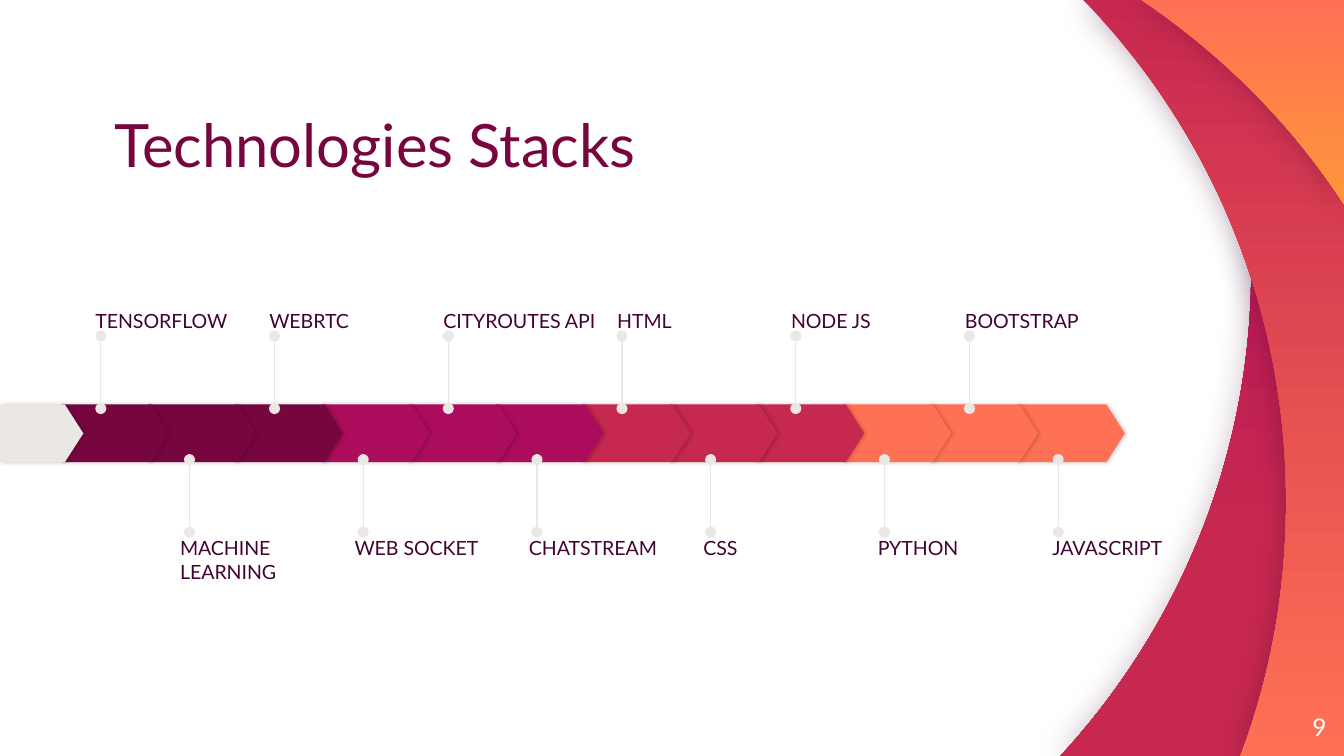
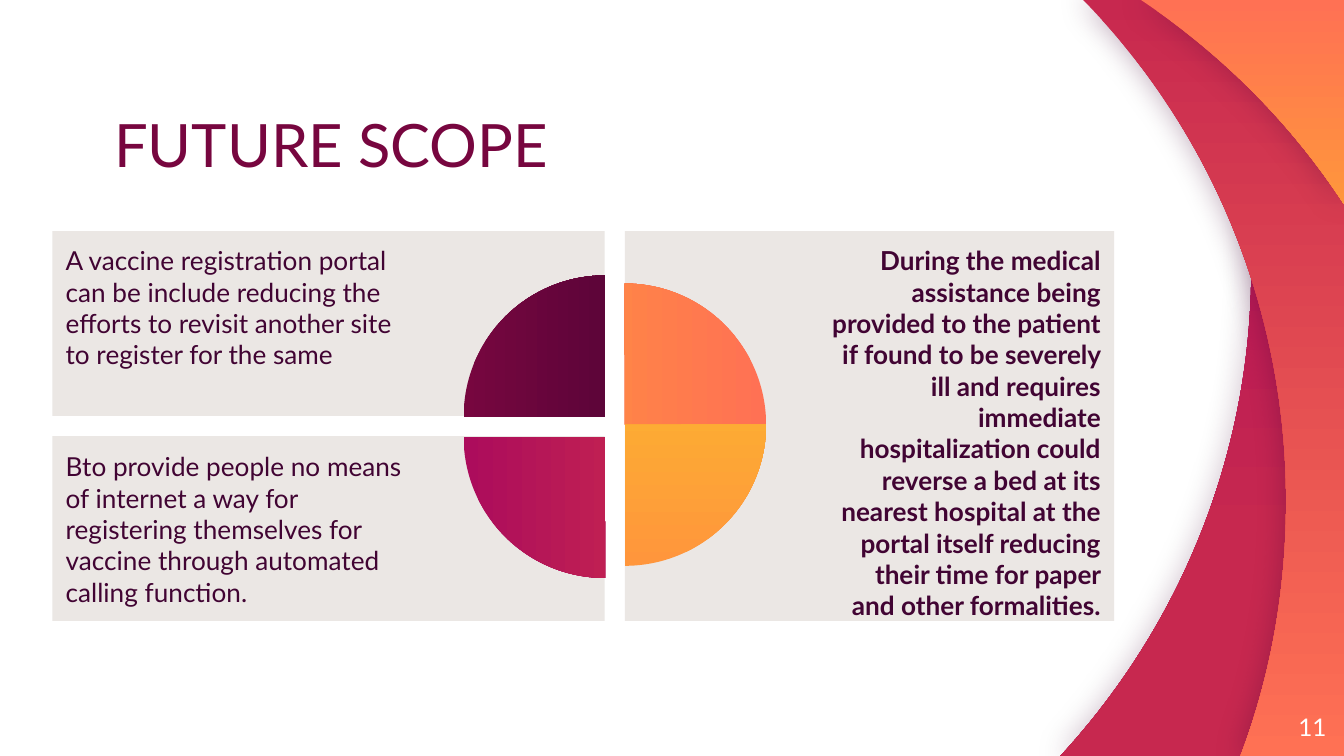
import pptx
import pptx.util
import pptx.dml.color
import pptx.enum.shapes
import pptx.enum.text
import pptx.oxml
import pptx.oxml.ns

SHAPE = pptx.enum.shapes.MSO_SHAPE
ANCHOR = pptx.enum.text.MSO_ANCHOR
ALIGN = pptx.enum.text.PP_ALIGN
Inches = pptx.util.Inches
qn = pptx.oxml.ns.qn

FONT = "Lato"
WIDTH, HEIGHT = 10, 10 * 9 / 16
PLUM, INK, MAGENTA, CRIMSON = "77063F", "410433", "AC0C5C", "C7284F"
CORAL, ORANGE, YELLOW, STONE, WHITE = "FF7154", "FF963C", "FAC12B", "EBE7E4", "FFFFFF"
BERRY_FADE = [(0, MAGENTA), (72, CRIMSON), (100, CRIMSON)]

BANDS = [
    {"start": (8.92, 0),
     "curves": [((9.18, 0.64), (9.31, 1.31), (9.31, 2)),
                ((9.31, 3.4), (8.77, 4.67), (7.89, HEIGHT))],
     "corners": [(WIDTH, HEIGHT), (WIDTH, 0)],
     "stops": BERRY_FADE, "shade": 25},
    {"start": (8.06, 0),
     "curves": [((9, 0.96), (9.57, 2.28), (9.57, 3.73)),
                ((9.57, 4.38), (9.46, 5.02), (9.23, HEIGHT))],
     "corners": [(WIDTH, HEIGHT), (WIDTH, 0)],
     "stops": [(0, CRIMSON), (100, CORAL)], "shade": 35},
    {"start": (8.49, 0),
     "curves": [((9.09, 0.4), (9.61, 0.92), (WIDTH, 1.52))],
     "corners": [(WIDTH, 0)],
     "stops": [(0, CORAL), (100, ORANGE)], "shade": 30},
]

STEP_COLOURS = [PLUM, MAGENTA, CRIMSON, CORAL]
STEPS_PER_COLOUR = 3
STEP_LEFT, STEP_TOP, STEP_PITCH = 0.46, 3.01, 7.11 / 11
STEP_WIDTH, STEP_HEIGHT = 0.8, 0.43
PIN_LENGTH = 0.54
LABEL_WIDTH, LABEL_HEIGHT, LABEL_LIMIT = 1.22, 0.58, 8.84
STACK_ROWS = [
    {"labels": ["TENSORFLOW", "WEBRTC", "CITYROUTES API", "HTML", "NODE JS", "BOOTSTRAP"],
     "pin": (0.75, 3.04), "label": (0.71, 1.89), "span": 6.47, "anchor": ANCHOR.BOTTOM},
    {"labels": ["MACHINE LEARNING", "WEB SOCKET", "CHATSTREAM", "CSS", "PYTHON", "JAVASCRIPT"],
     "pin": (1.41, 3.96), "label": (1.34, 3.99), "span": 6.49, "anchor": ANCHOR.TOP},
]

PANEL_LEFT, PANEL_TOP, PANEL_GAP = 0.39, 1.72, 0.15
LEFT_WIDTH, RIGHT_WIDTH, FULL_HEIGHT = 4.11, 3.64, 2.9
HALF_HEIGHT = (FULL_HEIGHT - PANEL_GAP) / 2
RIGHT_LEFT = PANEL_LEFT + LEFT_WIDTH + PANEL_GAP
LOWER_TOP = PANEL_TOP + HALF_HEIGHT + PANEL_GAP
WIDE_RIGHT, WIDE_LEFT = (0.1, 0.1, 1.5, 0.1), (1.5, 0.1, 0.1, 0.1)
PANELS = [
    {"box": (PANEL_LEFT, PANEL_TOP, LEFT_WIDTH, HALF_HEIGHT),
     "text": "A vaccine registration portal can be include reducing the efforts to revisit "
             "another site to register for the same",
     "style": {"insets": WIDE_RIGHT}},
    {"box": (RIGHT_LEFT, PANEL_TOP, RIGHT_WIDTH, FULL_HEIGHT),
     "text": "During the medical assistance being provided to the patient if found to be "
             "severely ill and requires immediate hospitalization could reverse a bed at its "
             "nearest hospital at the portal itself reducing their time for paper and other "
             "formalities.",
     "style": {"insets": WIDE_LEFT, "align": ALIGN.RIGHT, "bold": True}},
    {"box": (PANEL_LEFT, LOWER_TOP, LEFT_WIDTH, HALF_HEIGHT),
     "text": "Bto provide people no means of internet a way for registering themselves for "
             "vaccine through automated calling function.",
     "style": {"insets": WIDE_RIGHT, "anchor": ANCHOR.BOTTOM}},
]
PIE_SIZE = 2.1
PIE_ANGLES = (107.889, 162)
QUARTERS = [
    (3.45, 2.05, [(0, PLUM), (100, INK)], 0),
    (3.6, 2.11, [(0, CORAL), (100, ORANGE)], 90),
    (3.6, 2.11, [(0, ORANGE), (100, YELLOW)], 90),
    (3.45, 2.2, BERRY_FADE, 90),
]


def colour(value):
    return pptx.dml.color.RGBColor.from_string(value)


def xml(text):
    return pptx.oxml.parse_xml(text.replace(">", f" {pptx.oxml.ns.nsdecls('a')}>", 1))


def inches(values):
    return [Inches(value) for value in values]


def plain(shape, fill=None):
    shape.shadow.inherit = False
    shape.line.fill.background()
    if fill:
        shape.fill.solid()
        shape.fill.fore_color.rgb = colour(fill)
    return shape


def fade(shape, stops, angle):
    marks = "".join(f'<a:gs pos="{position * 1000}"><a:srgbClr val="{value}"/></a:gs>'
                    for position, value in stops)
    shape.element.spPr.insert(2, xml(
        f'<a:gradFill rotWithShape="1"><a:gsLst>{marks}</a:gsLst>'
        f'<a:lin ang="{angle * 60000}" scaled="0"/></a:gradFill>'))


def cast_shadow(shape, value, opacity, blur, distance):
    effects = shape.element.spPr.find(qn("a:effectLst"))
    effects.append(xml(
        f'<a:outerShdw blurRad="{pptx.util.Pt(blur)}" dist="{pptx.util.Pt(distance)}" '
        f'dir="0" algn="ctr" rotWithShape="0"><a:srgbClr val="{value}">'
        f'<a:alpha val="{opacity * 1000}"/></a:srgbClr></a:outerShdw>'))


def write(shape, text, size, value=INK, anchor=ANCHOR.TOP, align=ALIGN.LEFT,
          insets=(0, 0, 0, 0), bold=False):
    frame = shape.text_frame
    frame.word_wrap = True
    frame.auto_size = pptx.enum.text.MSO_AUTO_SIZE.NONE
    frame.vertical_anchor = anchor
    (frame.margin_left, frame.margin_top,
     frame.margin_right, frame.margin_bottom) = inches(insets)
    paragraph = frame.paragraphs[0]
    paragraph.alignment = align
    run = paragraph.add_run()
    run.text = text
    run.font.name, run.font.size, run.font.bold = FONT, pptx.util.Pt(size), bold
    run.font.color.rgb = colour(value)
    return paragraph


def bend(shape, curves):
    segments = list(shape.element.spPr.iter(qn("a:lnTo")))
    for segment, curve in zip(segments, curves):
        points = "".join(f'<a:pt x="{Inches(x) - shape.left}" y="{Inches(y) - shape.top}"/>'
                         for x, y in curve)
        segment.getparent().replace(
            segment, xml(f"<a:cubicBezTo>{points}</a:cubicBezTo>"))


def add_bands(slide, layout):
    for band in BANDS:
        ends = [curve[-1] for curve in band["curves"]] + band["corners"]
        builder = slide.shapes.build_freeform(*inches(band["start"]))
        builder.add_line_segments([inches(point) for point in ends], close=True)
        shape = plain(builder.convert_to_shape())
        bend(shape, band["curves"])
        fade(shape, band["stops"], 90)
        cast_shadow(shape, INK, band["shade"], 16.9, 0)
        layout.shapes.element.append(shape.element)


def start_slide(presentation, layout, title, number):
    slide = presentation.slides.add_slide(layout)
    paragraph = write(slide.shapes.title, title, 32, PLUM, ANCHOR.BOTTOM)
    paragraph.line_spacing = 0.9
    box = slide.shapes.add_textbox(*inches((9.27, 5.19, 0.6, 0.43)))
    write(box, number, 13, WHITE, ANCHOR.MIDDLE, ALIGN.RIGHT)
    return slide


def add_step(slide, left, width, fill):
    step = slide.shapes.add_shape(SHAPE.PENTAGON, *inches((left, STEP_TOP, width, STEP_HEIGHT)))
    step.adjustments[0] = 0.32
    cast_shadow(plain(step, fill), "000000", 20, 2.2, 0.8)


def add_pin(slide, x, y):
    pin = slide.shapes.add_connector(pptx.enum.shapes.MSO_CONNECTOR.STRAIGHT,
                                     *inches((x, y, x, y - PIN_LENGTH)))
    pin.line.color.rgb = colour(STONE)
    pin.line.width = pptx.util.Pt(0.75)
    properties = pin.element.spPr
    for end in ("headEnd", "tailEnd"):
        properties.find(qn("a:ln")).append(xml(f'<a:{end} type="oval"></a:{end}>'))
    properties.append(xml("<a:effectLst></a:effectLst>"))


def fill_stacks(slide):
    for index in reversed(range(len(STEP_COLOURS) * STEPS_PER_COLOUR)):
        add_step(slide, STEP_LEFT + index * STEP_PITCH, STEP_WIDTH,
                 STEP_COLOURS[index // STEPS_PER_COLOUR])
    add_step(slide, 0, 0.62, STONE)
    for row in STACK_ROWS:
        pin_left, pin_bottom = row["pin"]
        label_left, label_top = row["label"]
        label_pitch = row["span"] / (len(row["labels"]) - 1)
        for index, text in enumerate(row["labels"]):
            add_pin(slide, pin_left + index * 2 * STEP_PITCH, pin_bottom)
            left = label_left + index * label_pitch
            width = min(LABEL_WIDTH, LABEL_LIMIT - left)
            box = slide.shapes.add_textbox(*inches((left, label_top, width, LABEL_HEIGHT)))
            write(box, text, 10.5, anchor=row["anchor"])


def fill_scope(slide):
    for panel in PANELS:
        shape = slide.shapes.add_shape(SHAPE.RECTANGLE, *inches(panel["box"]))
        write(plain(shape, STONE), panel["text"], 14, **panel["style"])
    for index, (left, top, stops, angle) in enumerate(QUARTERS):
        quarter = plain(slide.shapes.add_shape(
            SHAPE.PIE, *inches((left, top, PIE_SIZE, PIE_SIZE))))
        quarter.adjustments[0], quarter.adjustments[1] = PIE_ANGLES
        quarter.rotation = index * 90
        fade(quarter, stops, angle)


def main():
    presentation = pptx.Presentation()
    presentation.slide_width, presentation.slide_height = inches((WIDTH, HEIGHT))
    layout = presentation.slide_layouts.get_by_name("Title Only")
    title = layout.placeholders[0]
    title.left, title.top, title.width, title.height = inches((0.85, 0.91, 7.61, 0.43))
    stacks = start_slide(presentation, layout, "Technologies Stacks", "9")
    add_bands(stacks, layout)
    fill_stacks(stacks)
    fill_scope(start_slide(presentation, layout, "FUTURE SCOPE", "11"))
    presentation.save("out.pptx")


if __name__ == "__main__":
    main()
